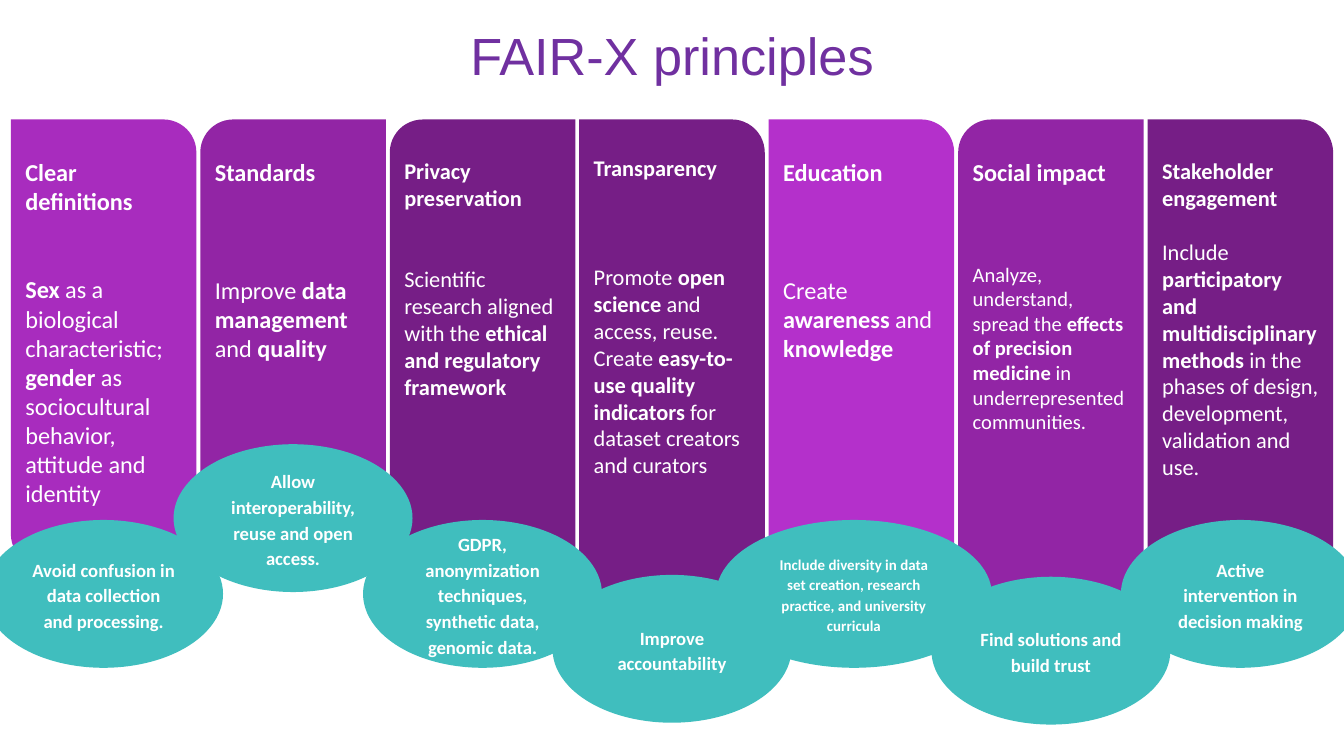
from dataclasses import dataclass

from pptx import Presentation
from pptx.dml.color import RGBColor
from pptx.enum.shapes import MSO_SHAPE
from pptx.enum.text import MSO_ANCHOR, MSO_AUTO_SIZE, PP_ALIGN
from pptx.util import Pt


@dataclass(frozen=True)
class Theme:
    """Colours, fonts and type sizes of the slide."""
    title: str = "7030A0"
    orchid: str = "A82CBE"
    violet: str = "9225A5"
    plum: str = "761E86"
    magenta: str = "B430CB"
    teal: str = "40BEBE"
    white: str = "FFFFFF"
    title_font: str = "Arial"
    body_font: str = "Calibri"
    title_size: float = 28
    large: float = 13
    medium: float = 12
    small: float = 11
    benefit_size: float = 10
    fine: float = 8


@dataclass(frozen=True)
class Principle:
    """One column: heading, text with *bold* parts, and its benefit."""
    heading: str
    description: str
    benefit: str
    color: str
    height: float
    benefit_top: float
    heading_size: float
    body_size: float
    gap_lines: int = 3
    round_left: bool = False
    text_top: float = 77
    benefit_size: float = Theme.benefit_size
    benefit_width: float = 128
    benefit_shift: float = 0


THEME = Theme()
LINE_HEIGHT = 1.22
COLUMN_LEFT, COLUMN_TOP = 5.8, 64
COLUMN_WIDTH, COLUMN_PITCH = 99.4, 101.5
BENEFIT_HEIGHT = 79.2

PRINCIPLES = [
    Principle("Clear definitions",
              "*Sex *as a biological characteristic; *gender *as sociocultural "
              "behavior, attitude and identity",
              "Avoid confusion in data collection and processing.",
              THEME.orchid, 239.8, 278.6, THEME.large, THEME.large, gap_lines=2),
    Principle("Standards", "Improve *data management *and *quality*",
              "Allow interoperability, reuse and open access.",
              THEME.violet, 213, 238, THEME.large, THEME.large, round_left=True),
    Principle("Privacy preservation",
              "Scientific research aligned with the *ethical and regulatory framework*",
              "GDPR, anonymization techniques, synthetic data, genomic data.",
              THEME.plum, 251.3, 278.6, THEME.medium, THEME.medium, gap_lines=2,
              round_left=True),
    Principle("Transparency",
              "Promote *open science* and access, reuse. Create "
              "*easy-to-use quality indicators* for dataset creators and curators",
              "Improve accountability",
              THEME.plum, 256.3, 308, THEME.medium, THEME.medium, text_top=75.6),
    Principle("Education", "Create *awareness *and *knowledge*",
              "Include diversity in data set creation, research practice, "
              "and university curricula",
              THEME.magenta, 249.8, 278.6, THEME.large, THEME.large,
              benefit_size=THEME.fine, benefit_width=147.6, benefit_shift=-4),
    Principle("Social impact",
              "Analyze, understand, spread the *effects of precision medicine* "
              "in underrepresented communities.",
              "Find solutions and build trust",
              THEME.violet, 282.2, 309, THEME.large, THEME.small, round_left=True),
    Principle("Stakeholder engagement",
              "Include *participatory and multidisciplinary methods* in the phases "
              "of design, development, validation and use.",
              "Active intervention in decision making",
              THEME.plum, 249.8, 278.6, THEME.medium, THEME.medium, gap_lines=1),
]


def style(font, name, size, color, bold=False):
    """Apply typeface, size, colour and weight to a font."""
    font.name, font.size, font.bold = name, Pt(size), bold
    font.color.rgb = RGBColor.from_string(color)


def frame_text(frame, anchor):
    """Give a text frame wrapping, even insets and an anchor."""
    frame.word_wrap = True
    frame.auto_size = MSO_AUTO_SIZE.NONE
    frame.vertical_anchor = anchor
    frame.margin_left = frame.margin_right = Pt(7.2)
    frame.margin_top = frame.margin_bottom = Pt(7.2)


def add_plain_shape(slide, preset, box, color):
    """Add a preset shape with a flat fill and no outline."""
    shape = slide.shapes.add_shape(preset, *map(Pt, box))
    shape.shadow.inherit = False
    shape.fill.solid()
    shape.fill.fore_color.rgb = RGBColor.from_string(color)
    shape.line.fill.background()
    return shape


def add_title(slide, text, box):
    """Place and format the slide title."""
    title = slide.shapes.title
    title.left, title.top, title.width, title.height = map(Pt, box)
    frame_text(title.text_frame, MSO_ANCHOR.MIDDLE)
    title.text_frame.text = text
    heading = title.text_frame.paragraphs[0]
    heading.alignment = PP_ALIGN.CENTER
    style(heading.runs[0].font, THEME.title_font, THEME.title_size, THEME.title)


def add_column(slide, principle, box):
    """Draw a column with its heading and description."""
    left, top, width, height = box
    panel = add_plain_shape(slide, MSO_SHAPE.ROUND_2_DIAG_RECTANGLE, box, principle.color)
    corners = (0.178, 0) if principle.round_left else (0, 0.178)
    panel.adjustments[0], panel.adjustments[1] = corners

    frame = slide.shapes.add_textbox(
        Pt(left + 0.7), Pt(principle.text_top), Pt(width - 1.4),
        Pt(top + height - principle.text_top)).text_frame
    frame_text(frame, MSO_ANCHOR.TOP)
    frame.text = principle.heading
    style(frame.paragraphs[0].runs[0].font, THEME.body_font,
          principle.heading_size, THEME.white, True)

    description = frame.add_paragraph()
    description.space_before = Pt(
        round(principle.gap_lines * principle.body_size * LINE_HEIGHT, 1))
    for index, part in enumerate(principle.description.split("*")):
        if part:
            run = description.add_run()
            run.text = part
            style(run.font, THEME.body_font, principle.body_size,
                  THEME.white, index % 2 == 1)


def add_benefit(slide, principle, box):
    """Draw the ellipse that names the benefit of a principle."""
    ellipse = add_plain_shape(slide, MSO_SHAPE.OVAL, box, THEME.teal)
    frame_text(ellipse.text_frame, MSO_ANCHOR.MIDDLE)
    ellipse.text_frame.text = principle.benefit
    benefit = ellipse.text_frame.paragraphs[0]
    benefit.alignment = PP_ALIGN.CENTER
    benefit.line_spacing = 1.15
    style(benefit.runs[0].font, THEME.body_font, principle.benefit_size,
          THEME.white, True)


def main():
    """Build the slide and save it."""
    presentation = Presentation()
    presentation.slide_width, presentation.slide_height = Pt(720), Pt(405)
    slide = presentation.slides.add_slide(presentation.slide_layouts[5])
    add_title(slide, "FAIR-X principles", (177, 8, 366, 43))
    lefts = [COLUMN_LEFT + COLUMN_PITCH * index for index in range(len(PRINCIPLES))]
    for left, principle in zip(lefts, PRINCIPLES):
        add_column(slide, principle, (left, COLUMN_TOP, COLUMN_WIDTH, principle.height))
    for left, principle in zip(lefts, PRINCIPLES):
        width = principle.benefit_width
        benefit_left = left + (COLUMN_WIDTH - width) / 2 + principle.benefit_shift
        add_benefit(slide, principle,
                    (benefit_left, principle.benefit_top, width, BENEFIT_HEIGHT))
    presentation.save("out.pptx")


if __name__ == "__main__":
    main()
